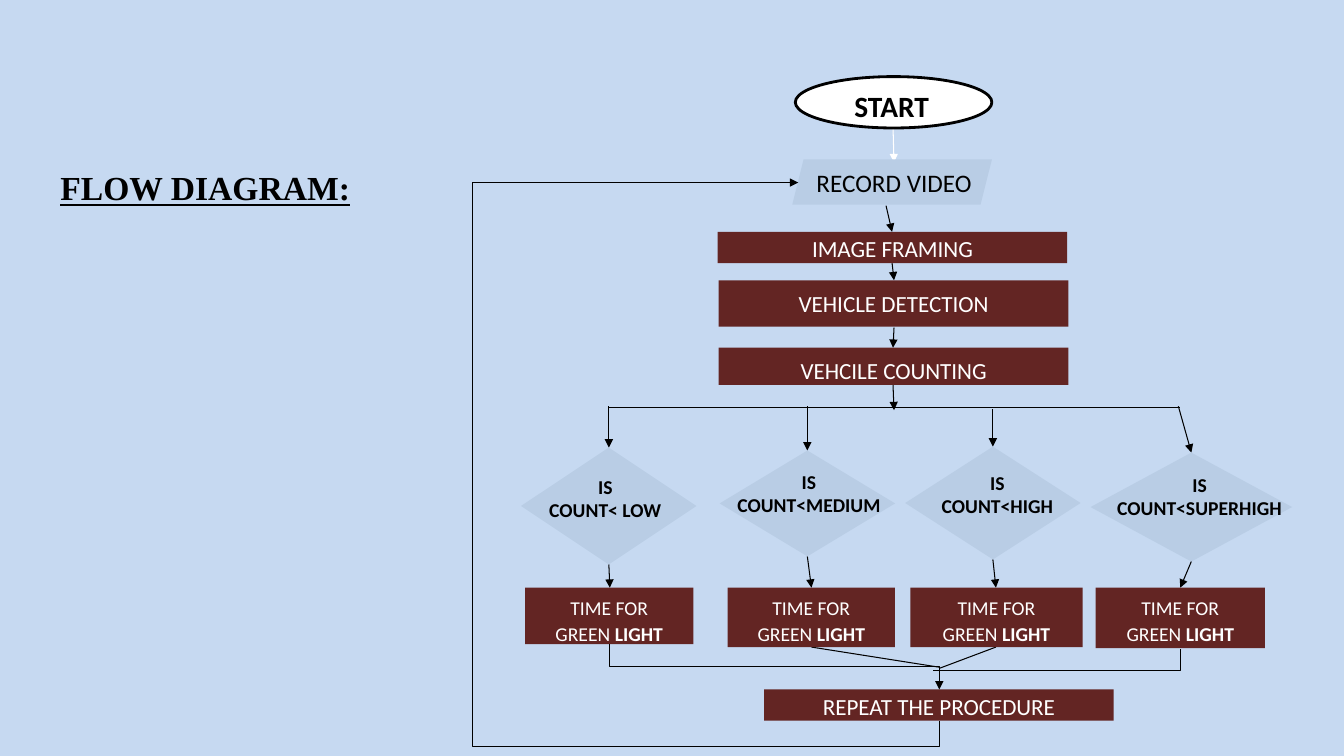
from dataclasses import dataclass

from lxml.etree import SubElement
from pptx import Presentation
from pptx.dml.color import RGBColor
from pptx.enum.shapes import MSO_CONNECTOR, MSO_SHAPE
from pptx.enum.text import MSO_ANCHOR, MSO_AUTO_SIZE, PP_ALIGN
from pptx.oxml.ns import qn
from pptx.shapes.connector import Connector
from pptx.slide import Slide
from pptx.text.text import TextFrame
from pptx.util import Pt

COLORS = {"sky": "C6D9F1", "maroon": "632523", "blue": "B9CDE5",
          "black": "000000", "white": "FFFFFF"}
WIDE = {"margin_left": Pt(10.8), "margin_right": Pt(10.8),
        "margin_top": Pt(5), "margin_bottom": Pt(5)}
SPACED = {"line_spacing": 1.07, "space_after": Pt(12)}
STEP_W = 249.8
TIME_Y = 419.8


@dataclass
class Node:
    x: float
    y: float
    w: float
    h: float
    kind: MSO_SHAPE
    fill: str
    edge: str = ""


@dataclass
class Label:
    x: float
    y: float
    w: float
    h: float
    text: str
    size: float
    color: str = "black"
    bold: bool = False
    fill: str = ""
    anchor: MSO_ANCHOR = MSO_ANCHOR.TOP
    tail: str = ""
    wide: bool = True


@dataclass
class Line:
    x1: float
    y1: float
    x2: float
    y2: float
    head: bool = True
    color: str = "black"


@dataclass
class Bend:
    x: float
    y: float
    w: float
    h: float
    kind: str
    turn: int
    flip: bool = False
    head: bool = True
    adj: tuple[int, ...] = ()


def step(x: float, y: float, h: float, text: str, anchor: MSO_ANCHOR = MSO_ANCHOR.TOP) -> Label:
    return Label(x, y, STEP_W, h, text, 16.5, "white", False, "maroon", anchor)


def timer(x: float, w: float, h: float) -> Label:
    return Label(x, TIME_Y, w, h, "TIME FOR\vGREEN ", 14, "white", fill="maroon", tail="LIGHT")


def test(x: float, y: float, w: float, level: str) -> Label:
    return Label(x, y, w, 41, f"IS\nCOUNT<{level}", 14, bold=True, wide=False)


NODES = [
    Node(568.1, 54.7, 140.4, 36.7, MSO_SHAPE.OVAL, "white", "black"),
    Node(565.9, 113.8, 142.6, 32.4, MSO_SHAPE.PARALLELOGRAM, "blue"),
    Node(372.2, 319.7, 125.3, 83.5, MSO_SHAPE.DIAMOND, "blue"),
    Node(514.1, 321.8, 125.3, 75.6, MSO_SHAPE.DIAMOND, "blue"),
    Node(646.6, 319, 125.3, 80.6, MSO_SHAPE.DIAMOND, "blue"),
    Node(779, 323.3, 144, 77.8, MSO_SHAPE.DIAMOND, "blue"),
]
LABELS = [
    Label(589, 56.2, 95.8, 26.6, "START", 21, bold=True),
    Label(570.2, 113, 136.8, 27.4, "RECORD VIDEO", 18),
    step(512.6, 165.6, 22.3, "IMAGE FRAMING", MSO_ANCHOR.MIDDLE),
    step(513.4, 200.2, 33.1, "VEHICLE DETECTION"),
    step(513.4, 248.4, 26.6, "VEHCILE COUNTING"),
    test(371.5, 335.5, 121.7, " LOW"),
    test(517, 331.9, 121.7, "MEDIUM"),
    test(651.6, 332.6, 121.7, "HIGH"),
    test(790.6, 334.1, 132.5, "SUPERHIGH"),
    timer(375.1, 120.2, 40.3),
    timer(519.8, 119.5, 42.5),
    timer(650.2, 123.1, 42.5),
    timer(782.6, 121, 43.2),
    step(545.8, 492.5, 22.3, "REPEAT THE PROCEDURE", MSO_ANCHOR.MIDDLE),
]
LINES = [
    Line(637.9, 90.7, 638.6, 115.9, color="white"),
    Line(632.9, 146.9, 637.2, 165.6),
    Line(637.2, 187.9, 638.6, 200.2),
    Line(638.6, 234, 637.9, 248.4),
    Line(637.9, 275, 638.6, 293),
    Line(434.9, 290.9, 843.1, 290.9, head=False),
    Line(434.9, 290.2, 434.9, 319.7),
    Line(576.7, 290.2, 576.7, 321.8),
    Line(709.2, 292.3, 709.2, 319),
    Line(841.7, 290.2, 851, 323.3),
    Line(434.9, 403.2, 435.6, TIME_Y),
    Line(576.7, 397.4, 579.6, TIME_Y),
    Line(709.2, 399.6, 711.4, TIME_Y),
    Line(851, 401, 843.1, TIME_Y),
    Line(579.6, 462.2, 671, 476.6, head=False),
    Line(711.4, 462.2, 671, 477.4, head=False),
]
BENDS = [
    Bend(747.4, 383, 15.1, 176.4, "bentConnector2", 90, head=False),
    Bend(428.4, 272.2, 384.5, 100.8, "bentConnector4", 90, True, adj=(-4700, 330800)),
    Bend(537.1, 358.6, 32.4, 235.4, "bentConnector3", 270, True),
]


def rgb(name: str) -> RGBColor:
    return RGBColor.from_string(COLORS[name])


def apply(obj: object, values: dict) -> None:
    for key, value in values.items():
        setattr(obj, key, value)


def add_node(slide: Slide, node: Node) -> None:
    shape = slide.shapes.add_shape(node.kind, Pt(node.x), Pt(node.y), Pt(node.w), Pt(node.h))
    shape.shadow.inherit = False
    shape.fill.solid()
    shape.fill.fore_color.rgb = rgb(node.fill)
    if node.edge:
        shape.line.color.rgb = rgb(node.edge)
        shape.line.width = Pt(2)
    else:
        shape.line.fill.background()


def write(frame: TextFrame, item: Label) -> None:
    apply(frame, {"word_wrap": True, "vertical_anchor": item.anchor, "text": item.text})
    if item.wide:
        apply(frame, WIDE)
    if item.tail:
        frame.paragraphs[0].add_run().text = item.tail
    for para in frame.paragraphs:
        para.alignment = PP_ALIGN.CENTER
        if item.wide:
            apply(para, SPACED)
        for run in para.runs:
            bold = item.bold or run.text == item.tail
            apply(run.font, {"name": "Calibri", "size": Pt(item.size), "bold": bold})
            run.font.color.rgb = rgb(item.color)


def add_label(slide: Slide, item: Label) -> None:
    area = Pt(item.x), Pt(item.y), Pt(item.w), Pt(item.h)
    if item.fill:
        add_node(slide, Node(item.x, item.y, item.w, item.h, MSO_SHAPE.RECTANGLE, item.fill))
        shape = slide.shapes[-1]
    else:
        shape = slide.shapes.add_textbox(*area)
    write(shape.text_frame, item)


def style(link: Connector, color: str, head: bool) -> None:
    link.line.color.rgb = rgb(color)
    link.line.width = Pt(0.75)
    props = link.element.spPr
    if head:
        SubElement(props.find(qn("a:ln")), qn("a:tailEnd"), type="triangle")
    SubElement(props, qn("a:effectLst"))


def add_line(slide: Slide, item: Line) -> None:
    link = slide.shapes.add_connector(
        MSO_CONNECTOR.STRAIGHT, Pt(item.x1), Pt(item.y1), Pt(item.x2), Pt(item.y2))
    style(link, item.color, item.head)


def add_bend(slide: Slide, item: Bend) -> None:
    """Place an elbow by its frame before rotation, then turn and flip it."""
    link = slide.shapes.add_connector(
        MSO_CONNECTOR.ELBOW, Pt(item.x), Pt(item.y), Pt(item.x + item.w), Pt(item.y + item.h))
    props = link.element.spPr
    frame, shape = props.find(qn("a:xfrm")), props.find(qn("a:prstGeom"))
    frame.set("rot", str(item.turn * 60000))
    if item.flip:
        frame.set("flipH", "1")
    shape.set("prst", item.kind)
    for i, value in enumerate(item.adj, 1):
        SubElement(shape.find(qn("a:avLst")), qn("a:gd"), name=f"adj{i}", fmla=f"val {value}")
    style(link, "black", item.head)


def add_title(slide: Slide) -> None:
    title = slide.shapes.title
    apply(title, {"left": Pt(36), "top": Pt(115.9), "width": Pt(486), "height": Pt(36)})
    frame = title.text_frame
    apply(frame, {"text": "FLOW DIAGRAM:", "word_wrap": True,
                  "vertical_anchor": MSO_ANCHOR.TOP, "auto_size": MSO_AUTO_SIZE.NONE})
    para = frame.paragraphs[0]
    para.alignment = PP_ALIGN.LEFT
    font = para.runs[0].font
    apply(font, {"name": "Times New Roman", "size": Pt(24), "bold": True, "underline": True})
    font.color.rgb = rgb("black")


def main() -> None:
    deck = Presentation()
    apply(deck, {"slide_width": Pt(960), "slide_height": Pt(540)})
    slide = deck.slides.add_slide(deck.slide_layouts[5])
    slide.background.fill.solid()
    slide.background.fill.fore_color.rgb = rgb("sky")
    add_title(slide)
    for draw, items in ((add_line, LINES), (add_node, NODES),
                        (add_label, LABELS), (add_bend, BENDS)):
        for item in items:
            draw(slide, item)
    deck.save("out.pptx")


if __name__ == "__main__":
    main()
